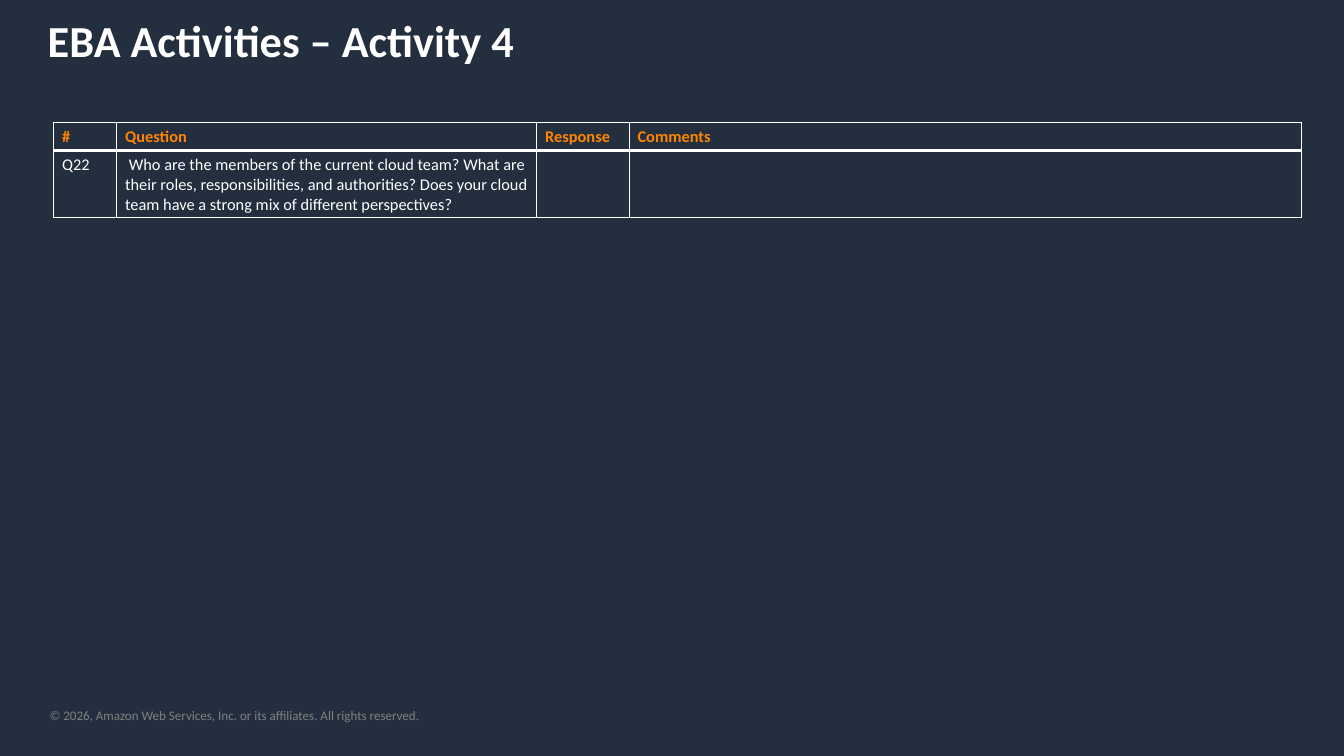
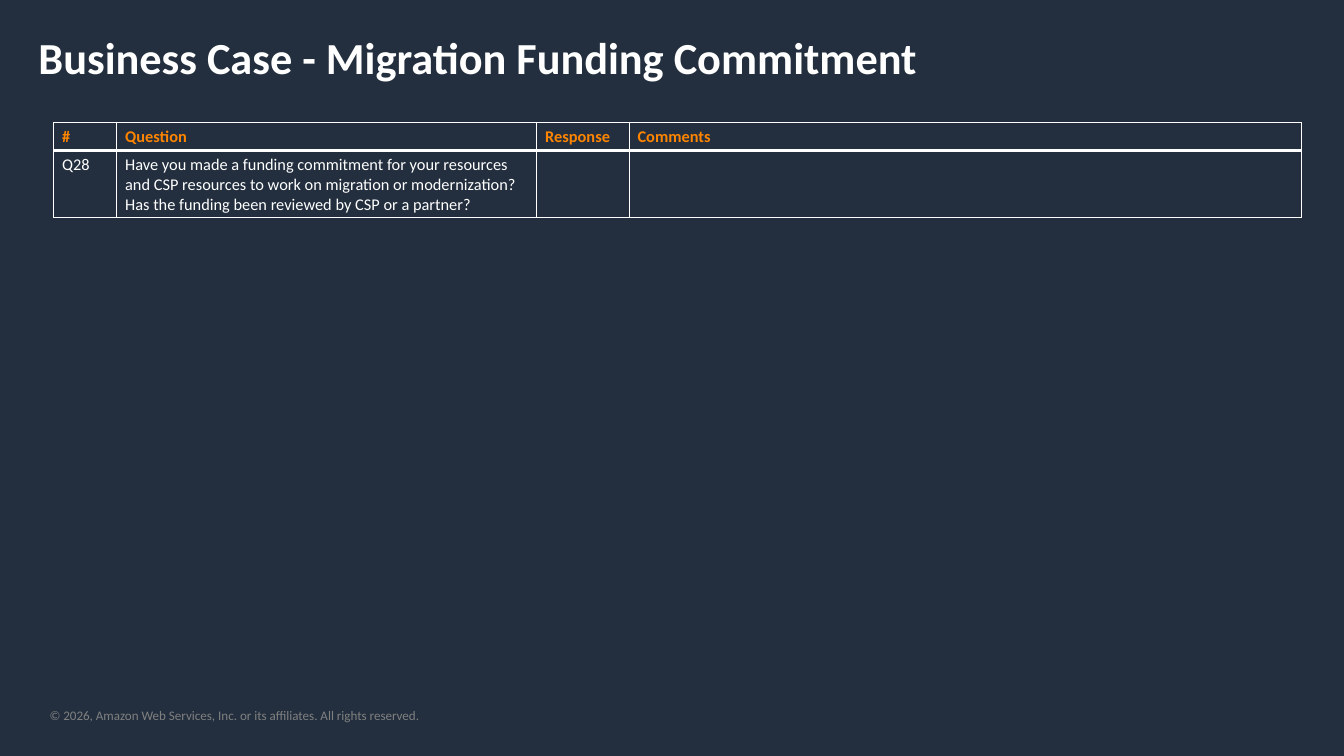
from lxml import etree
from pptx import Presentation
from pptx.dml.color import RGBColor
from pptx.enum import text
from pptx.oxml import ns
from pptx.util import Inches, Pt

# Shared style
NAVY = RGBColor(0x23, 0x2F, 0x3E)
WHITE = RGBColor(0xFF, 0xFF, 0xFF)
ORANGE = RGBColor(0xFF, 0x85, 0x00)
GRAY = RGBColor(0x80, 0x80, 0x80)
FONT = "Calibri"
FOOTER = "© 2026, Amazon Web Services, Inc. or its affiliates. All rights reserved."

# Question table
HEADERS = ["#", "Question", "Response", "Comments"]
COLUMN_WIDTHS = [0.75, 5, 1.1, 8]
ROW_HEIGHT = 0.28
THIN, THICK = 1, 3

# Title, title position and size, question row
SLIDES = [
    ("EBA Activities – Activity 4", (0.47, 0.11, 15.26, 0.74),
     ["Q22", " Who are the members of the current cloud team? What are their roles, "
      "responsibilities, and authorities? Does your cloud team have a strong mix "
      "of different perspectives?", "", ""]),
    ("Business Case - Migration Funding Commitment", (0.36, 0.31, 15.28, 0.74),
     ["Q28", "Have you made a funding commitment for your resources and CSP resources "
      "to work on migration or modernization? Has the funding been reviewed by CSP "
      "or a partner?", "", ""]),
]


def write_text(text_frame, content, size, color, bold=False):
    text_frame.text = content
    font = text_frame.paragraphs[0].font
    for target in [font] + [run.font for run in text_frame.paragraphs[0].runs]:
        target.name = FONT
        target.size = Pt(size)
        target.bold = bold
        target.color.rgb = color


def add_text(slide, box, content, size, color, bold=False, margin=None):
    text_frame = slide.shapes.add_textbox(*map(Inches, box)).text_frame
    text_frame.word_wrap = True
    text_frame.auto_size = text.MSO_AUTO_SIZE.SHAPE_TO_FIT_TEXT
    if margin is not None:
        text_frame.margin_left = text_frame.margin_right = Inches(margin)
        text_frame.margin_top = text_frame.margin_bottom = Inches(margin)
    write_text(text_frame, content, size, color, bold)


def set_borders(cell, top, bottom):
    properties = cell._tc.get_or_add_tcPr()
    widths = {"a:lnL": THIN, "a:lnR": THIN, "a:lnT": top, "a:lnB": bottom}
    for position, (tag, width) in enumerate(widths.items()):
        line = etree.Element(ns.qn(tag), w=str(Pt(width)))
        fill = etree.SubElement(line, ns.qn("a:solidFill"))
        etree.SubElement(fill, ns.qn("a:srgbClr"), val=str(WHITE))
        properties.insert(position, line)


def add_question_table(slide, question):
    rows = [HEADERS, question]
    table = slide.shapes.add_table(
        len(rows), len(HEADERS), Inches(0.64), Inches(1.46),
        Inches(sum(COLUMN_WIDTHS)), Inches(ROW_HEIGHT * len(rows))).table
    table.horz_banding = False
    for column, width in zip(table.columns, COLUMN_WIDTHS):
        column.width = Inches(width)
    for row_index, values in enumerate(rows):
        is_header = row_index == 0
        table.rows[row_index].height = Inches(ROW_HEIGHT)
        for column_index, value in enumerate(values):
            cell = table.cell(row_index, column_index)
            cell.fill.background()
            write_text(cell.text_frame, value, 14, ORANGE if is_header else WHITE, is_header)
            # The header row is set off by a thick rule
            set_borders(cell, *((THIN, THICK) if is_header else (THICK, THIN)))


def main():
    presentation = Presentation()
    presentation.slide_width = Inches(16)
    presentation.slide_height = Inches(9)
    background = presentation.slide_master.background.fill
    background.solid()
    background.fore_color.rgb = NAVY

    for title, title_box, question in SLIDES:
        slide = presentation.slides.add_slide(presentation.slide_layouts[6])
        add_text(slide, (0.59, 8.42, 7.78, 0.19), FOOTER, 11.2, GRAY, margin=0)
        add_text(slide, title_box, title, 38, WHITE, bold=True)
        add_question_table(slide, question)

    presentation.save("out.pptx")


if __name__ == "__main__":
    main()
